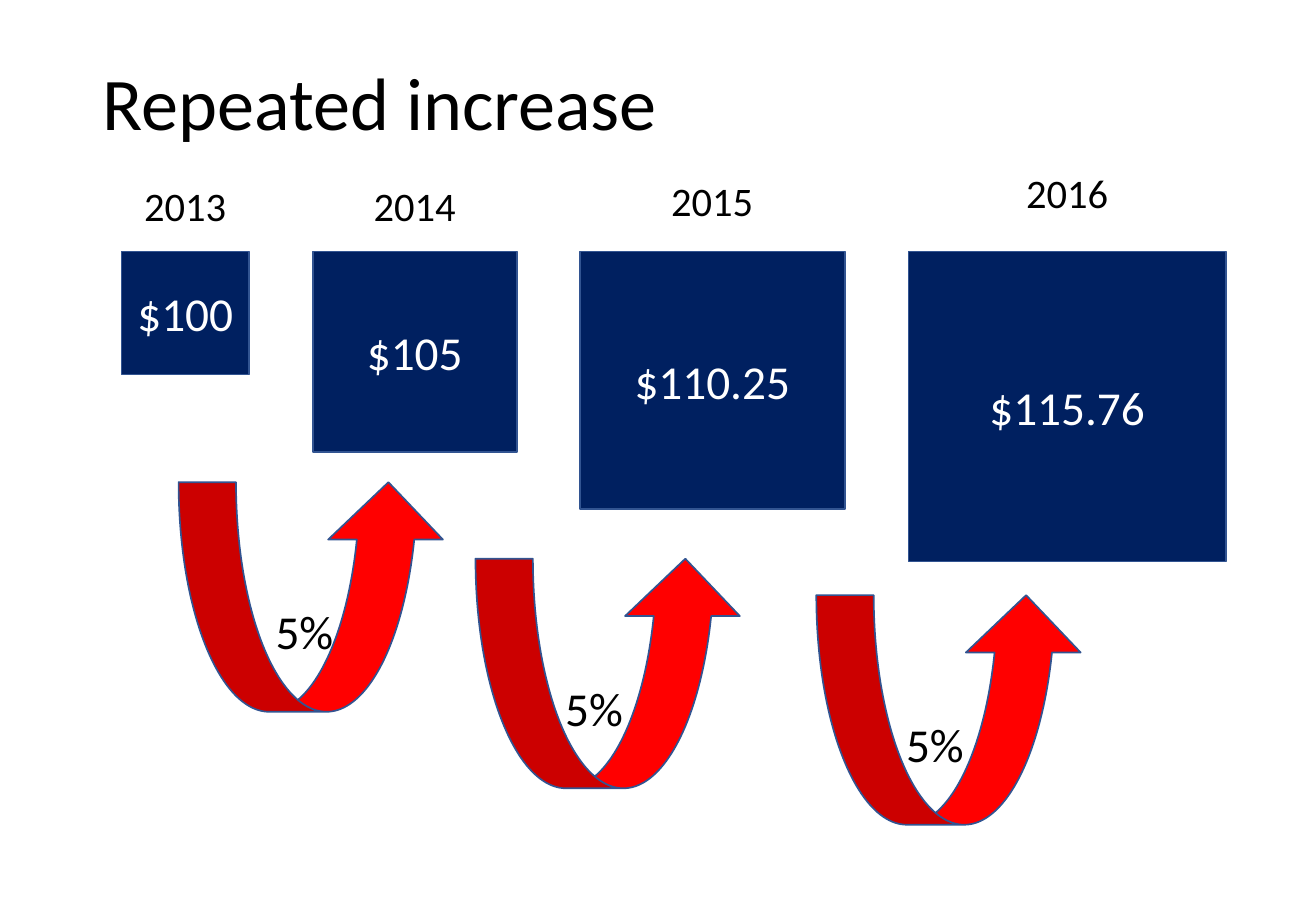
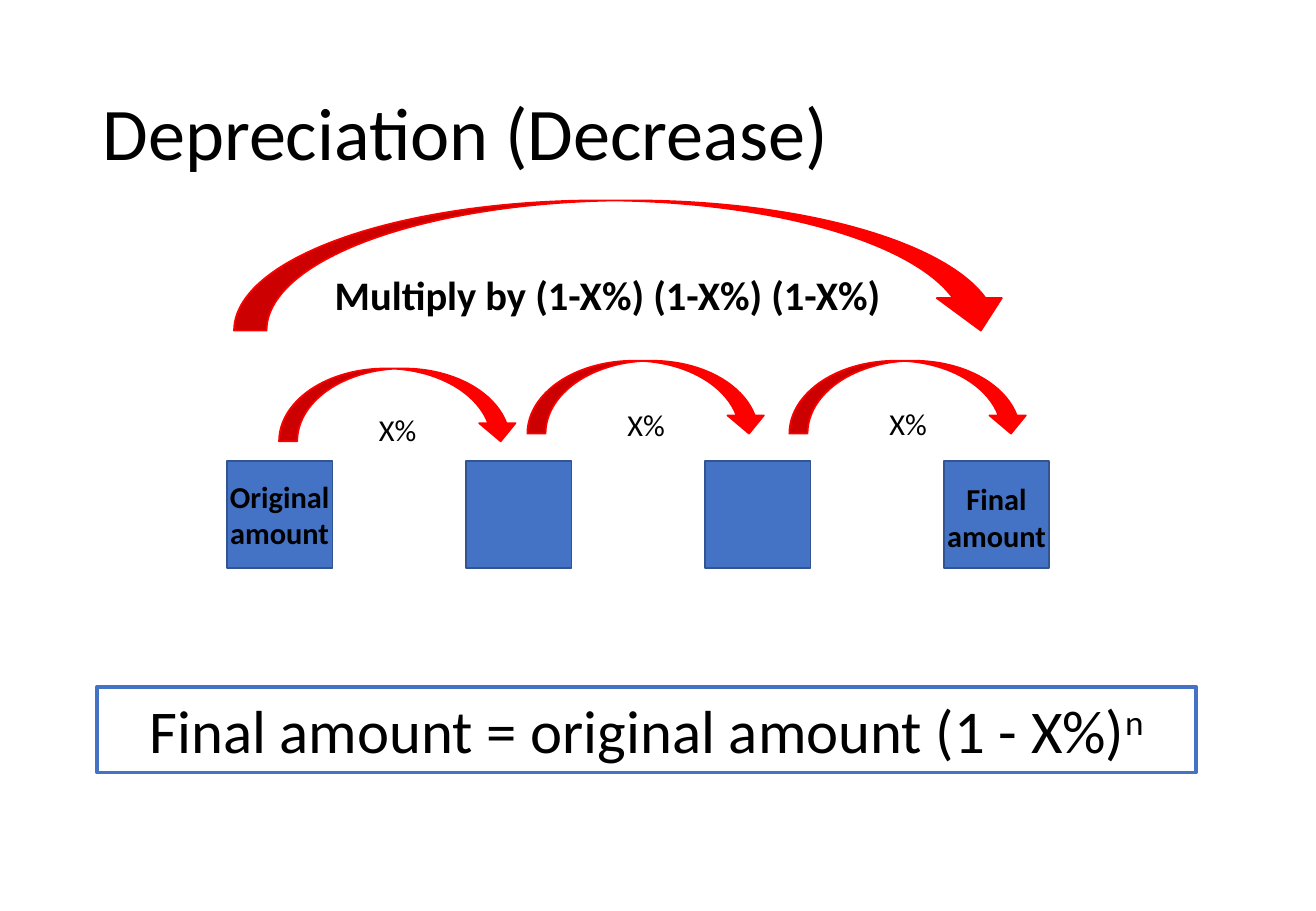
from pptx import Presentation
from pptx.dml.color import RGBColor
from pptx.enum.shapes import MSO_SHAPE
from pptx.enum.text import MSO_ANCHOR, PP_ALIGN
from pptx.util import Inches, Pt

WIDE, HIGH = Inches(10.83), Inches(7.5)
FONT = "Calibri"
BLACK, WHITE = "000000", "FFFFFF"
NAVY, BLUE, EDGE, RED = "002060", "4472C4", "325491", "FF0000"
LEFT, MID = PP_ALIGN.LEFT, PP_ALIGN.CENTER


def color(code):
    return RGBColor.from_string(code)


def place(x, y, w, h):
    return [round(part * size / 100)
            for part, size in zip((x, y, w, h), (WIDE, HIGH, WIDE, HIGH))]


def write(item, text, size, ink=BLACK, align=MID, bold=False, raised=""):
    para = item.text_frame.paragraphs[0]
    para.alignment = align
    para.add_run().text = text
    if raised:
        run = para.add_run()
        run.text = raised
        run._r.get_or_add_rPr().set("baseline", "30000")
    font = para.font
    font.name, font.size, font.bold = FONT, Pt(size), bold
    font.color.rgb = color(ink)


def label(slide, area, text, size, align=MID, bold=False, wrap=True):
    box = slide.shapes.add_textbox(*place(*area))
    box.text_frame.word_wrap = wrap
    write(box, text, size, align=align, bold=bold)
    return box


def shape(slide, kind, area, fill, edge, weight=1):
    item = slide.shapes.add_shape(kind, *place(*area))
    item.shadow.inherit = False
    if fill:
        item.fill.solid()
        item.fill.fore_color.rgb = color(fill)
    else:
        item.fill.background()
    item.line.color.rgb = color(edge)
    item.line.width = Pt(weight)
    return item


def title(deck, text, top):
    slide = deck.slides.add_slide(deck.slide_layouts[6])
    box = label(slide, (6.88, top, 86.24, 19.33), text, 44, LEFT)
    box.text_frame.vertical_anchor = MSO_ANCHOR.MIDDLE
    box.text_frame.paragraphs[0].line_spacing = 0.9
    return slide


def growth(deck):
    slide = title(deck, "Repeated increase", 2)
    years = [
        ("2013", "$100", 9.23, 9.7, 13.5, 19.2),
        ("2014", "$105", 23.76, 15.51, 22, 19.2),
        ("2015", "$110.25", 44.06, 20.13, 28.27, 18.67),
        ("2016", "$115.76", 69.04, 24.1, 34.05, 17.73),
    ]
    wide = 9
    for year, value, x, w, h, top in years:
        box = shape(slide, MSO_SHAPE.RECTANGLE, (x, 27.6, w, h), NAVY, EDGE)
        write(box, value, 28, WHITE)
        label(slide, (x + (w - wide) / 2, top, wide, 6.67), year, 24)
    for x, y, shift in [(13.57, 52.93, 6.46), (36.13, 61.33, 5.91),
                        (62.03, 65.33, 5.91)]:
        shape(slide, MSO_SHAPE.CURVED_UP_ARROW, (x, y, 20.31, 25.2), RED, EDGE)
        label(slide, (x + shift, y + 12.53, 6.28, 7.6), "5%", 28, LEFT,
              wrap=False)


def decline(deck):
    slide = title(deck, "Depreciation (Decrease)", 5.33)
    first, step, side = 17.23, 18.16, 8.03
    for col in range(4):
        shape(slide, MSO_SHAPE.RECTANGLE,
              (first + col * step, 50.62, side, 11.73), BLUE, EDGE)
    for x, y, top in [(21.2, 40.45, 44.45), (40.07, 39.6, 43.95),
                      (59.98, 39.6, 43.87)]:
        shape(slide, MSO_SHAPE.CURVED_DOWN_ARROW, (x, y, 18.23, 8), RED, RED)
        label(slide, (x + 6.03, top, 6, 5.33), "X%", 18)
    for text, col, w, y in [("Original amount", 0, 15.33, 51.82),
                            ("Final amount", 3, 12, 52.08)]:
        x = first + col * step + (side - w) / 2
        label(slide, (x, y, w, 9.47), text, 18, bold=True)
    label(slide, (21.88, 29, 48.57, 6.67),
          "Multiply by (1-X%) (1-X%) (1-X%)", 24, bold=True)
    shape(slide, MSO_SHAPE.CURVED_DOWN_ARROW,
          (17.78, 22, 59.23, 14.3), RED, RED)
    rule = shape(slide, MSO_SHAPE.RECTANGLE,
                 (7.39, 75.38, 83.47, 9.43), None, BLUE, 2.25)
    write(rule, "Final amount = original amount (1 - X%)", 36, raised="n")


def main():
    deck = Presentation()
    deck.slide_width, deck.slide_height = WIDE, HIGH
    growth(deck)
    decline(deck)
    deck.save("out.pptx")


if __name__ == "__main__":
    main()
